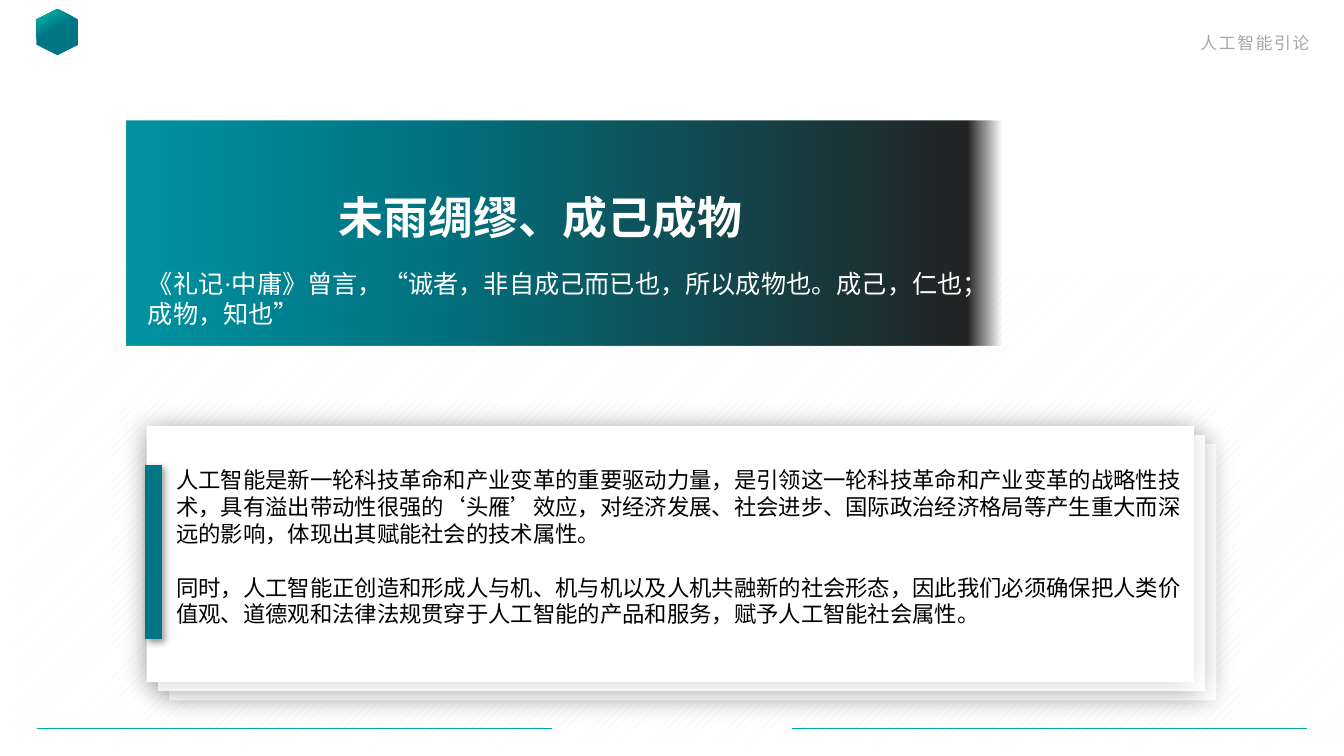
from pptx import Presentation
from pptx.dml.color import RGBColor
from pptx.enum.dml import MSO_PATTERN
from pptx.enum.shapes import MSO_CONNECTOR, MSO_SHAPE
from pptx.enum.text import MSO_ANCHOR, PP_ALIGN
from pptx.oxml import parse_xml
from pptx.oxml.ns import nsdecls, qn
from pptx.util import Pt

SANS = "Noto Sans CJK SC"
TEAL, DARK_TEAL, WHITE = "00ABA5", "007684", "FFFFFF"

QUOTE = "《礼记·中庸》曾言，“诚者，非自成己而已也，所以成物也。成己，仁也；成物，知也”"
BODY = [
    "人工智能是新一轮科技革命和产业变革的重要驱动力量，是引领这一轮科技革命和产业变革的战略性技术，"
    "具有溢出带动性很强的‘头雁’效应，对经济发展、社会进步、国际政治经济格局等产生重大而深远的影响，"
    "体现出其赋能社会的技术属性。",
    "同时，人工智能正创造和形成人与机、机与机以及人机共融新的社会形态，因此我们必须确保把人类价值观、"
    "道德观和法律法规贯穿于人工智能的产品和服务，赋予人工智能社会属性。",
]


def color(value):
    return RGBColor.from_string(value)


def set_shadow(shape, opacity=None, blur=0, direction=0):
    """Give the shape an outer black shadow, or none if opacity is missing."""
    properties = shape._element.spPr
    for effects in properties.findall(qn("a:effectLst")):
        properties.remove(effects)
    shadow = ""
    if opacity:
        shadow = (
            f'<a:outerShdw blurRad="{Pt(blur)}" dist="{Pt(3)}" dir="{direction * 60000}" '
            f'algn="ctr" rotWithShape="0"><a:srgbClr val="000000">'
            f'<a:alpha val="{opacity * 1000}"/></a:srgbClr></a:outerShdw>'
        )
    properties.append(parse_xml(f'<a:effectLst {nsdecls("a")}>{shadow}</a:effectLst>'))


def set_gradient(shape, stops, angle=0):
    """Fill with stops given as (percent, colour, opacity percent)."""
    marks = "".join(
        f'<a:gs pos="{position * 1000}"><a:srgbClr val="{value}">'
        f'<a:alpha val="{opacity * 1000}"/></a:srgbClr></a:gs>'
        for position, value, opacity in stops
    )
    gradient = parse_xml(
        f'<a:gradFill rotWithShape="1" {nsdecls("a")}><a:gsLst>{marks}</a:gsLst>'
        f'<a:lin ang="{angle * 60000}" scaled="0"/></a:gradFill>'
    )
    properties = shape._element.spPr
    properties.replace(properties.find(qn("a:solidFill")), gradient)


def add_box(slide, left, top, width, height, fill=WHITE, kind=MSO_SHAPE.RECTANGLE):
    shape = slide.shapes.add_shape(kind, Pt(left), Pt(top), Pt(width), Pt(height))
    shape.fill.solid()
    shape.fill.fore_color.rgb = color(fill)
    shape.line.fill.background()
    shape.shadow.inherit = False
    return shape


def add_line(slide, start, end, line_color, width):
    line = slide.shapes.add_connector(MSO_CONNECTOR.STRAIGHT, *map(Pt, start + end))
    line.line.color.rgb = color(line_color)
    line.line.width = Pt(width)
    set_shadow(line)
    return line


def add_text(slide, paragraphs, left, top, width, height, *, size, font=SANS,
             text_color=WHITE, bold=False, align=PP_ALIGN.LEFT,
             anchor=MSO_ANCHOR.TOP, line=None, gap=0, spacing=0):
    box = slide.shapes.add_textbox(Pt(left), Pt(top), Pt(width), Pt(height))
    frame = box.text_frame
    frame.word_wrap = True
    frame.vertical_anchor = anchor
    for index, text in enumerate(paragraphs):
        paragraph = frame.add_paragraph() if index else frame.paragraphs[0]
        paragraph.alignment = align
        if line:
            paragraph.line_spacing = Pt(line)
        if index:
            paragraph.space_before = Pt(gap)
        run = paragraph.add_run()
        run.text = text
        run.font.size = Pt(size)
        run.font.bold = bold
        run.font.name = font
        run.font.color.rgb = color(text_color)
        properties = run._r.get_or_add_rPr()
        properties.append(parse_xml(f'<a:ea {nsdecls("a")} typeface="{SANS}"/>'))
        if spacing:
            properties.set("spc", str(round(spacing * 100)))
    return box


def add_backdrop(slide):
    backdrop = add_box(slide, 7, 192, 960, 343.5)
    backdrop.fill.patterned()
    backdrop.fill.pattern = MSO_PATTERN.DASHED_UPWARD_DIAGONAL
    backdrop.fill.fore_color.rgb = color("F2F2F2")
    backdrop.fill.back_color.rgb = color(WHITE)


def add_card_stack(slide):
    for depth, opacity in ((2, 22), (1, 30), (0, 19)):
        card = add_box(slide, 104.8 + 8 * depth, 304.3 + 6.5 * depth, 748, 183)
        set_shadow(card, opacity, blur=19, direction=180)
    bar = add_line(slide, (109.5, 456.5), (109.5, 332), DARK_TEAL, 12)
    set_shadow(bar, 40, blur=5, direction=45)
    add_text(slide, BODY, 118.8, 329.5, 737.3, 124, size=16, text_color="000000",
             line=19.2, gap=19.2)


def add_banner(slide):
    banner = add_box(slide, 90.5, 86.5, 624.5, 160)
    set_gradient(banner, [(0, "0093A2", 100), (36, "01717E", 100),
                          (96, "222222", 100), (100, "222222", 0)])
    add_text(slide, ["未雨绸缪、成己成物"], 235, 130, 352, 50, size=32, bold=True,
             anchor=MSO_ANCHOR.MIDDLE)
    add_text(slide, [QUOTE], 98.6, 188, 599, 51, size=18, font="Times New Roman", line=21.5)


def main():
    presentation = Presentation()
    presentation.slide_width, presentation.slide_height = Pt(960), Pt(540)
    slide = presentation.slides.add_slide(presentation.slide_layouts[6])

    add_text(slide, ["人工智能引论"], 689, 20, 253.5, 21.5, size=12,
             text_color="A6A6A6", align=PP_ALIGN.RIGHT, spacing=1.2)
    emblem = add_box(slide, 24.5, 8, 33, 30, kind=MSO_SHAPE.HEXAGON)
    emblem.rotation = 90
    set_gradient(emblem, [(57, DARK_TEAL, 100), (87, TEAL, 100)], angle=150)

    add_backdrop(slide)
    add_card_stack(slide)
    add_banner(slide)
    for left in (26.5, 565.5):
        add_line(slide, (left, 520), (left + 368, 520), TEAL, 0.5)
    presentation.save("out.pptx")


if __name__ == "__main__":
    main()
